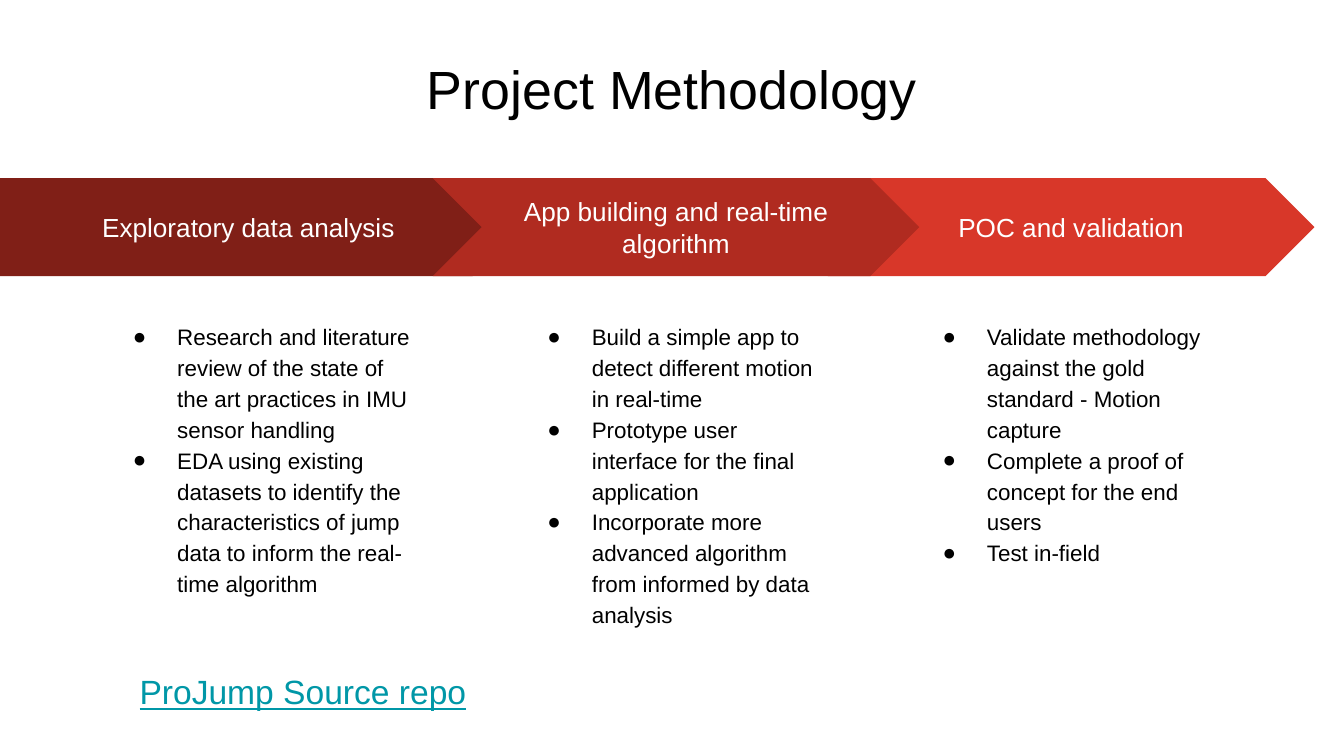
from dataclasses import dataclass

from lxml.etree import SubElement
from pptx import Presentation
from pptx.dml.color import RGBColor
from pptx.enum.shapes import MSO_SHAPE
from pptx.enum.text import MSO_ANCHOR, MSO_AUTO_SIZE, PP_ALIGN
from pptx.oxml.ns import qn
from pptx.util import Inches, Pt


@dataclass(frozen=True)
class Theme:
    font: str = "Arial"
    ink: str = "000000"
    light: str = "FFFFFF"
    link: str = "0097A7"
    steps: tuple = ("801F17", "B02B20", "D83729")
    title_size: float = 28.8
    step_size: float = 14
    body_size: float = 12
    link_size: float = 18


class SlideBuilder:
    """Places styled elements on a grid of 100 square units across the slide."""

    def __init__(self, presentation, theme):
        self.theme = theme
        self.unit = presentation.slide_width / 100
        self.slide = presentation.slides.add_slide(presentation.slide_layouts[5])
        self.slide.background.fill.solid()
        self.slide.background.fill.fore_color.rgb = RGBColor.from_string(theme.light)

    def box(self, *grid_lengths):
        return [round(length * self.unit) for length in grid_lengths]

    def set_frame(self, shape, anchor=MSO_ANCHOR.TOP):
        frame = shape.text_frame
        frame.word_wrap = True
        frame.auto_size = MSO_AUTO_SIZE.NONE
        frame.vertical_anchor = anchor
        frame.margin_left = frame.margin_right = Inches(0.1)
        frame.margin_top = frame.margin_bottom = Inches(0.1)
        return frame

    def format_text(self, frame, size, color, alignment=PP_ALIGN.LEFT, underline=False):
        for paragraph in frame.paragraphs:
            paragraph.alignment = alignment
            for run in paragraph.runs:
                run.font.name = self.theme.font
                run.font.size = Pt(size)
                run.font.color.rgb = RGBColor.from_string(color)
                run.font.underline = underline

    def title(self, text, *area):
        shape = self.slide.shapes.title
        shape.left, shape.top, shape.width, shape.height = self.box(*area)
        frame = self.set_frame(shape)
        frame.text = text
        self.format_text(frame, self.theme.title_size, self.theme.ink, PP_ALIGN.CENTER)

    def step(self, text, preset, color, *area):
        shape = self.slide.shapes.add_shape(preset, *self.box(*area))
        shape.shadow.inherit = False
        shape.adjustments[0] = 0.5
        shape.fill.solid()
        shape.fill.fore_color.rgb = RGBColor.from_string(color)
        shape.line.fill.background()
        frame = self.set_frame(shape, MSO_ANCHOR.MIDDLE)
        frame.text = text
        self.format_text(frame, self.theme.step_size, self.theme.light, PP_ALIGN.CENTER)

    def bullets(self, items, *area):
        frame = self.set_frame(self.slide.shapes.add_textbox(*self.box(*area)))
        frame.text = "\n".join(items)
        for paragraph in frame.paragraphs:
            paragraph.line_spacing = 1.15
            properties = paragraph._p.get_or_add_pPr()
            properties.set("marL", str(Inches(0.5)))
            properties.set("indent", str(Inches(-0.33)))
            bullet_color = SubElement(properties, qn("a:buClr"))
            SubElement(bullet_color, qn("a:srgbClr")).set("val", self.theme.ink)
            SubElement(properties, qn("a:buFont")).set("typeface", self.theme.font)
            SubElement(properties, qn("a:buChar")).set("char", "●")
        self.format_text(frame, self.theme.body_size, self.theme.ink)

    def link_label(self, text, *area):
        frame = self.set_frame(self.slide.shapes.add_textbox(*self.box(*area)))
        frame.text = text
        self.format_text(frame, self.theme.link_size, self.theme.link, underline=True)


STEPS = [
    ("Exploratory data analysis", [
        "Research and literature review of the state of the art practices in IMU sensor handling",
        "EDA using existing datasets to identify the characteristics of jump data "
        "to inform the real-time algorithm",
    ]),
    ("App building and real-time algorithm", [
        "Build a simple app to detect different motion in real-time",
        "Prototype user interface for the final application",
        "Incorporate more advanced algorithm from informed by data analysis",
    ]),
    ("POC and validation", [
        "Validate methodology against the gold standard - Motion capture",
        "Complete a proof of concept for the end users",
        "Test in-field",
    ]),
]


def main():
    presentation = Presentation()
    presentation.slide_width = Inches(10)
    presentation.slide_height = presentation.slide_width * 9 // 16
    theme = Theme()
    builder = SlideBuilder(presentation, theme)

    builder.title("Project Methodology", 3.4, 3.15, 93.2, 6.3)

    # Process steps: the last goes at the back, so each arrow tip stays visible
    first_chevron, pitch = 32.2, 29.4
    for index in (2, 0, 1):
        heading, items = STEPS[index]
        if index == 0:
            preset, left, width, text_left = MSO_SHAPE.PENTAGON, 0, 38.8, 7.2
        else:
            left = first_chevron + (index - 1) * pitch
            preset, width, text_left = MSO_SHAPE.CHEVRON, 36.2, left + 5.85
        builder.step(heading, preset, theme.steps[index], left, 13.25, width, 7.3)
        builder.bullets(items, text_left, 22.75, 24.5, 28.6)

    # Repository label
    builder.link_label("ProJump Source repo", 9.4, 48.95, 38.4, 4.9)

    presentation.save("out.pptx")


if __name__ == "__main__":
    main()
